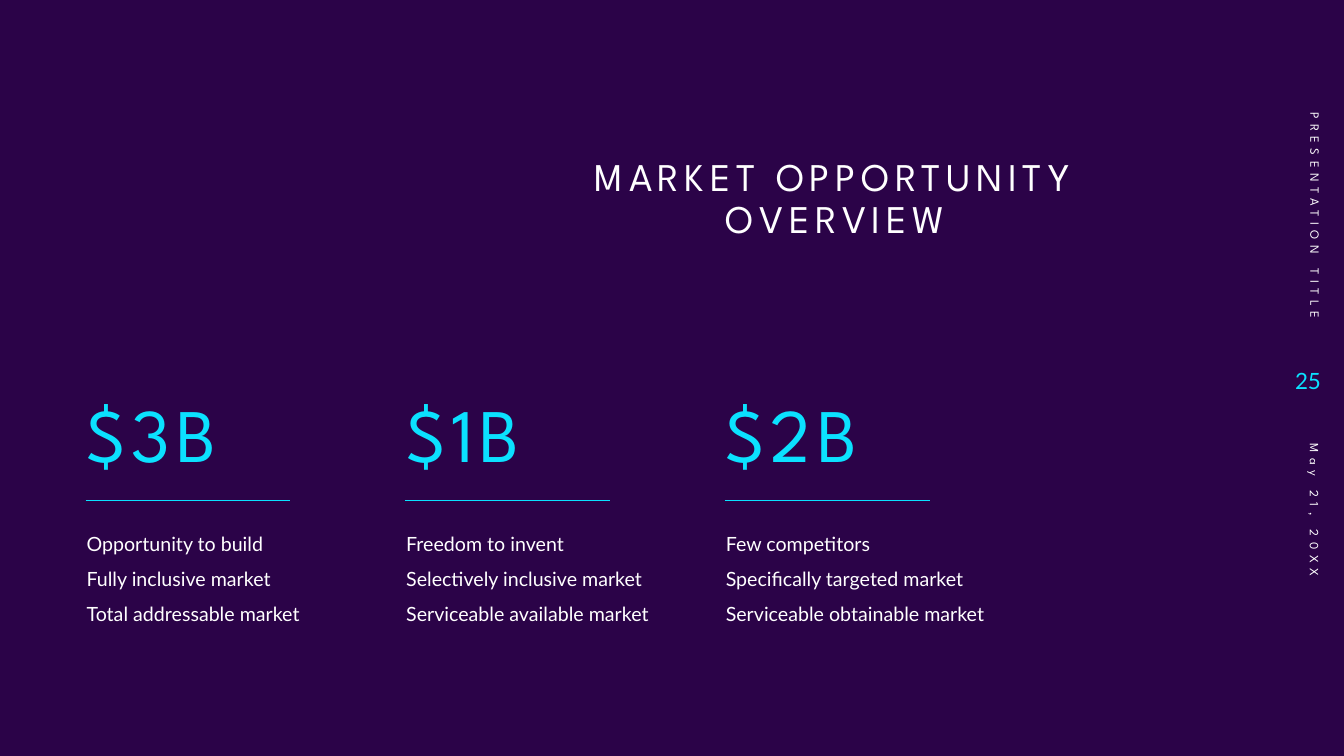
import dataclasses

import lxml.etree
import pptx
import pptx.dml.color
import pptx.enum.shapes
import pptx.enum.text
import pptx.oxml.ns
import pptx.util

ALIGN = pptx.enum.text.PP_ALIGN
ANCHOR = pptx.enum.text.MSO_ANCHOR


@dataclasses.dataclass(frozen=True)
class Theme:
    background: str = "2B0348"
    text: str = "FFFFFF"
    accent: str = "0BE1FF"
    heading_font: str = "League Spartan"
    body_font: str = "Lato"
    title_size: int = 28
    figure_size: int = 54
    body_size: int = 14
    number_size: int = 16
    footer_size: int = 9
    tracking: int = 4
    rule_width: float = 0.5


class SlideBuilder:
    """Draw styled elements on one slide, with lengths in px at 100 to the inch."""

    def __init__(self, presentation, theme):
        self.theme = theme
        self.slide = presentation.slides.add_slide(presentation.slide_layouts[6])
        fill = self.slide.background.fill
        fill.solid()
        fill.fore_color.rgb = self.color(theme.background)

    @staticmethod
    def px(length):
        return pptx.util.Emu(length * 9144)

    @staticmethod
    def color(value):
        return pptx.dml.color.RGBColor.from_string(value)

    def text(self, box, lines, size, font, color, tracking=0,
             anchor=ANCHOR.TOP, rotation=0, **formats):
        shape = self.slide.shapes.add_textbox(*map(self.px, box))
        shape.rotation = rotation
        frame = shape.text_frame
        frame.word_wrap = True
        frame.vertical_anchor = anchor
        for index, line in enumerate(lines):
            paragraph = frame.add_paragraph() if index else frame.paragraphs[0]
            for name, value in formats.items():
                setattr(paragraph, name, value)
            run = paragraph.add_run()
            run.text = line
            for name, value in {"size": pptx.util.Pt(size), "name": font}.items():
                setattr(run.font, name, value)
            run.font.color.rgb = self.color(color)
            if tracking:
                run._r.get_or_add_rPr().set("spc", str(tracking * 100))

    def heading(self, box, line, size, color, **formats):
        self.text(box, [line], size, self.theme.heading_font, color,
                  self.theme.tracking, **formats)

    def rule(self, left, top, width):
        connector = self.slide.shapes.add_connector(
            pptx.enum.shapes.MSO_CONNECTOR.STRAIGHT,
            *map(self.px, (left, top, left + width, top)))
        connector.line.color.rgb = self.color(self.theme.accent)
        connector.line.width = pptx.util.Pt(self.theme.rule_width)
        lxml.etree.SubElement(connector._element.spPr, pptx.oxml.ns.qn("a:effectLst"))

    def market(self, left, figure, points):
        theme = self.theme
        self.heading((left, 372, 295, 108), figure, theme.figure_size, theme.accent,
                     anchor=ANCHOR.BOTTOM, line_spacing=0.9)
        self.rule(left + 9, 496, 203)
        self.text((left, 511, 295, 126), points, theme.body_size, theme.body_font,
                  theme.text, line_spacing=1.5)

    def footer(self, box, line, alignment):
        self.heading(box, line, self.theme.footer_size, self.theme.text,
                     anchor=ANCHOR.MIDDLE, rotation=90, alignment=alignment)


MARKETS = [
    ("$3B", ["Opportunity to build", "Fully inclusive market",
             "Total addressable market"]),
    ("$1B", ["Freedom to invent", "Selectively inclusive market",
             "Serviceable available market"]),
    ("$2B", ["Few competitors", "Specifically targeted market",
             "Serviceable obtainable market"]),
]


def main():
    theme = Theme()
    presentation = pptx.Presentation()
    presentation.slide_width = SlideBuilder.px(1333)
    presentation.slide_height = SlideBuilder.px(750)
    builder = SlideBuilder(presentation, theme)

    builder.heading((550, 151, 557, 108), "MARKET OPPORTUNITY OVERVIEW",
                    theme.title_size, theme.text,
                    alignment=ALIGN.CENTER, line_spacing=0.9)
    for column, (figure, points) in enumerate(MARKETS):
        builder.market(76 + 317 * column, figure, points)

    builder.footer((1153, 154, 303, 40), "PRESENTATION TITLE", ALIGN.RIGHT)
    builder.text((1260, 346, 60, 63), ["25"], theme.number_size, theme.body_font,
                 theme.accent, anchor=ANCHOR.MIDDLE, alignment=ALIGN.RIGHT)
    builder.footer((1159, 555, 290, 40), "May 21, 20XX", ALIGN.LEFT)
    presentation.save("out.pptx")


if __name__ == "__main__":
    main()
